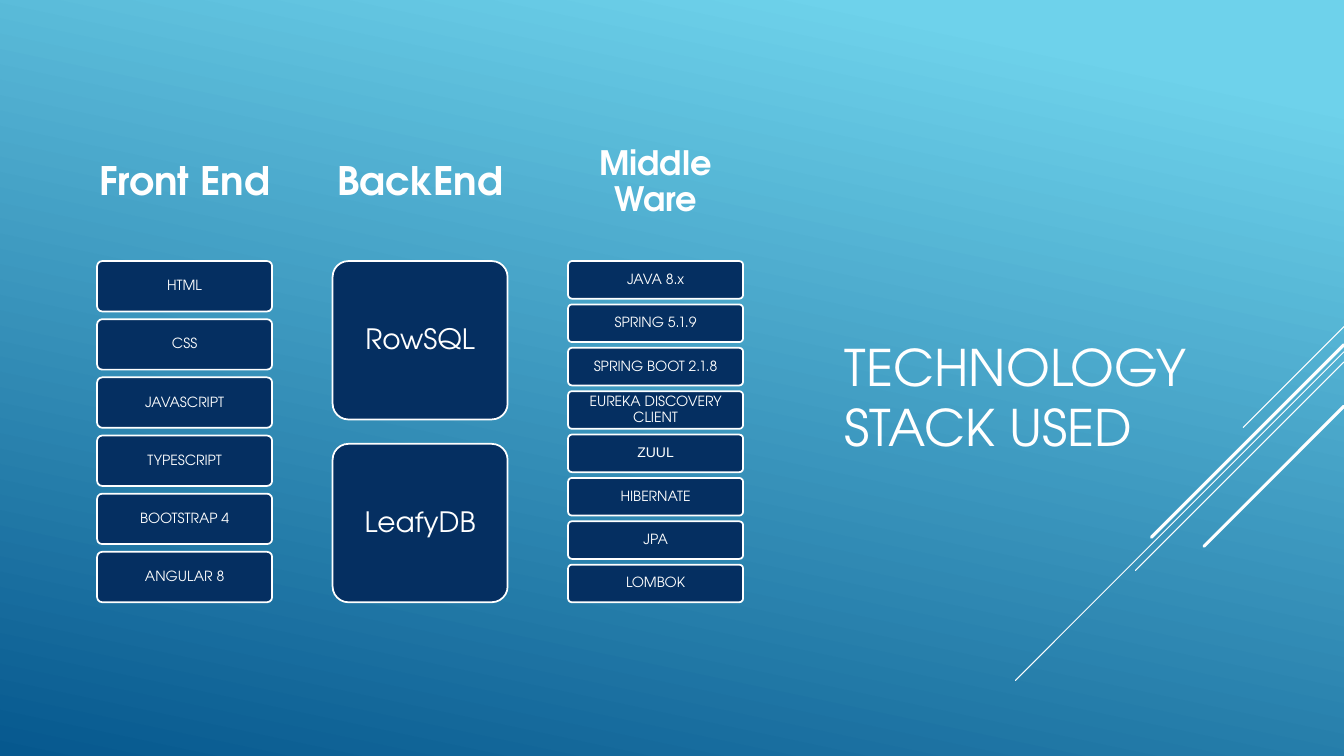
"""Build the technology stack slide with three columns of cards."""
from dataclasses import dataclass

from lxml import etree
from pptx import Presentation
from pptx.dml.color import RGBColor
from pptx.enum import shapes, text
from pptx.oxml.ns import qn
from pptx.util import Pt


@dataclass(frozen=True)
class Theme:
    white: RGBColor = RGBColor(0xFF, 0xFF, 0xFF)
    navy: RGBColor = RGBColor(0x05, 0x2F, 0x61)
    sky: RGBColor = RGBColor(0x6E, 0xD2, 0xEB)
    deep: RGBColor = RGBColor(0x06, 0x58, 0x8E)
    font: str = "TeX Gyre Adventor"
    plain_font: str = "Arial"
    title: int = 36
    heading: int = 28
    small_heading: int = 24
    large_card: int = 20
    card: int = 10


@dataclass(frozen=True)
class Column:
    heading: str
    heading_size: int
    cards: tuple[str, ...]
    card_size: int


@dataclass(frozen=True)
class Ray:
    top: float
    reach: float
    weight: float


THEME = Theme()
SLIDE_W, SLIDE_H = 960, 540
COLUMN_LEFT, COLUMN_TOP, COLUMN_W, COLUMN_PITCH = 53.8, 74.2, 156.2, 168.2
HEADING_H, STACK_TOP, STACK_H = 112.3, 186.5, 243.7
CARD_W, GAP_RATIO = 125, 2 / 13

COLUMNS = (
    Column("Front End", THEME.heading,
           ("HTML", "CSS", "JAVASCRIPT", "TYPESCRIPT", "BOOTSTRAP 4", "ANGULAR 8"),
           THEME.card),
    Column("BackEnd", THEME.heading, ("RowSQL", "LeafyDB"), THEME.large_card),
    Column("Middle Ware", THEME.small_heading,
           ("JAVA 8.x", "SPRING 5.1.9", "SPRING BOOT 2.1.8", "EUREKA DISCOVERY CLIENT",
            "ZUUL", "HIBERNATE", "JPA", "LOMBOK"),
           THEME.card),
)
CARD_FONTS = {"ZUUL": THEME.plain_font}
RAYS = (
    Ray(233.3, 72, 0.75),
    Ray(251.3, 234.7, 0.75),
    Ray(258.5, 149, 0.75),
    Ray(246.2, 137.5, 2.25),
    Ray(290.2, 100, 2.25),
)


def write(sp, content: str, *, size: int, font: str = THEME.font, bold: bool = False,
          align=text.PP_ALIGN.CENTER, anchor=text.MSO_ANCHOR.MIDDLE,
          spacing: float = 0.9, inset_x: float = 3, inset_y: float = 2) -> None:
    """Put formatted text in a shape."""
    tf = sp.text_frame
    tf.word_wrap = True
    tf.auto_size = text.MSO_AUTO_SIZE.NONE
    tf.vertical_anchor = anchor
    tf.margin_left = tf.margin_right = Pt(inset_x)
    tf.margin_top = tf.margin_bottom = Pt(inset_y)
    p = tf.paragraphs[0]
    p.alignment, p.line_spacing = align, spacing
    r = p.add_run()
    r.text = content
    r.font.name, r.font.size, r.font.bold = font, Pt(size), bold
    r.font.color.rgb = THEME.white


def paint_background(s) -> None:
    """Fill the slide with the blue gradient."""
    fill = s.background.fill
    fill.gradient()
    fill.gradient_angle = 360 - 102
    stops = ((0.1, THEME.sky), (1, THEME.deep))
    for stop, (position, color) in zip(fill.gradient_stops, stops):
        stop.position, stop.color.rgb = position, color


def draw_ray(s, ray: Ray) -> None:
    """Draw a diagonal line down from the right edge."""
    line = s.shapes.add_connector(
        shapes.MSO_CONNECTOR.STRAIGHT, Pt(SLIDE_W), Pt(ray.top),
        Pt(SLIDE_W - ray.reach), Pt(ray.top + ray.reach))
    line.line.color.rgb, line.line.width = THEME.white, Pt(ray.weight)
    line.get_or_add_ln().set("cap", "rnd")
    etree.SubElement(line._element.spPr, qn("a:effectLst"))


def draw_card(s, label: str, left: float, top: float, height: float, size: int) -> None:
    """Draw one rounded card with its label."""
    sp = s.shapes.add_shape(shapes.MSO_SHAPE.ROUNDED_RECTANGLE,
                            Pt(left), Pt(top), Pt(CARD_W), Pt(height))
    sp.adjustments[0] = 0.1
    sp.shadow.inherit = False
    sp.fill.solid()
    sp.fill.fore_color.rgb = THEME.navy
    sp.line.color.rgb, sp.line.width = THEME.white, Pt(1.25)
    write(sp, label, size=size, font=CARD_FONTS.get(label, THEME.font))


def draw_column(s, column: Column, left: float) -> None:
    """Draw a heading and its evenly spaced cards."""
    sp = s.shapes.add_textbox(Pt(left), Pt(COLUMN_TOP), Pt(COLUMN_W), Pt(HEADING_H))
    write(sp, column.heading, size=column.heading_size, bold=True, inset_x=8.6, inset_y=8.6)
    count = len(column.cards)
    height = STACK_H / (count + (count - 1) * GAP_RATIO)
    card_left = left + (COLUMN_W - CARD_W) / 2
    for i, label in enumerate(column.cards):
        top = STACK_TOP + i * height * (1 + GAP_RATIO)
        draw_card(s, label, card_left, top, height, column.card_size)


def main() -> None:
    """Assemble and save the slide."""
    prs = Presentation()
    prs.slide_width, prs.slide_height = Pt(SLIDE_W), Pt(SLIDE_H)
    s = prs.slides.add_slide(prs.slide_layouts[5])
    paint_background(s)
    for ray in RAYS:
        draw_ray(s, ray)
    title = s.shapes.title
    title.left, title.top, title.width, title.height = Pt(596.2), Pt(74.2), Pt(319.7), Pt(255.6)
    write(title, "TECHNOLOGY STACK USED", size=THEME.title, align=text.PP_ALIGN.LEFT,
          anchor=text.MSO_ANCHOR.BOTTOM, spacing=1.0, inset_x=7.2, inset_y=3.6)
    for i, column in enumerate(COLUMNS):
        draw_column(s, column, COLUMN_LEFT + i * COLUMN_PITCH)
    prs.save("out.pptx")


main()
